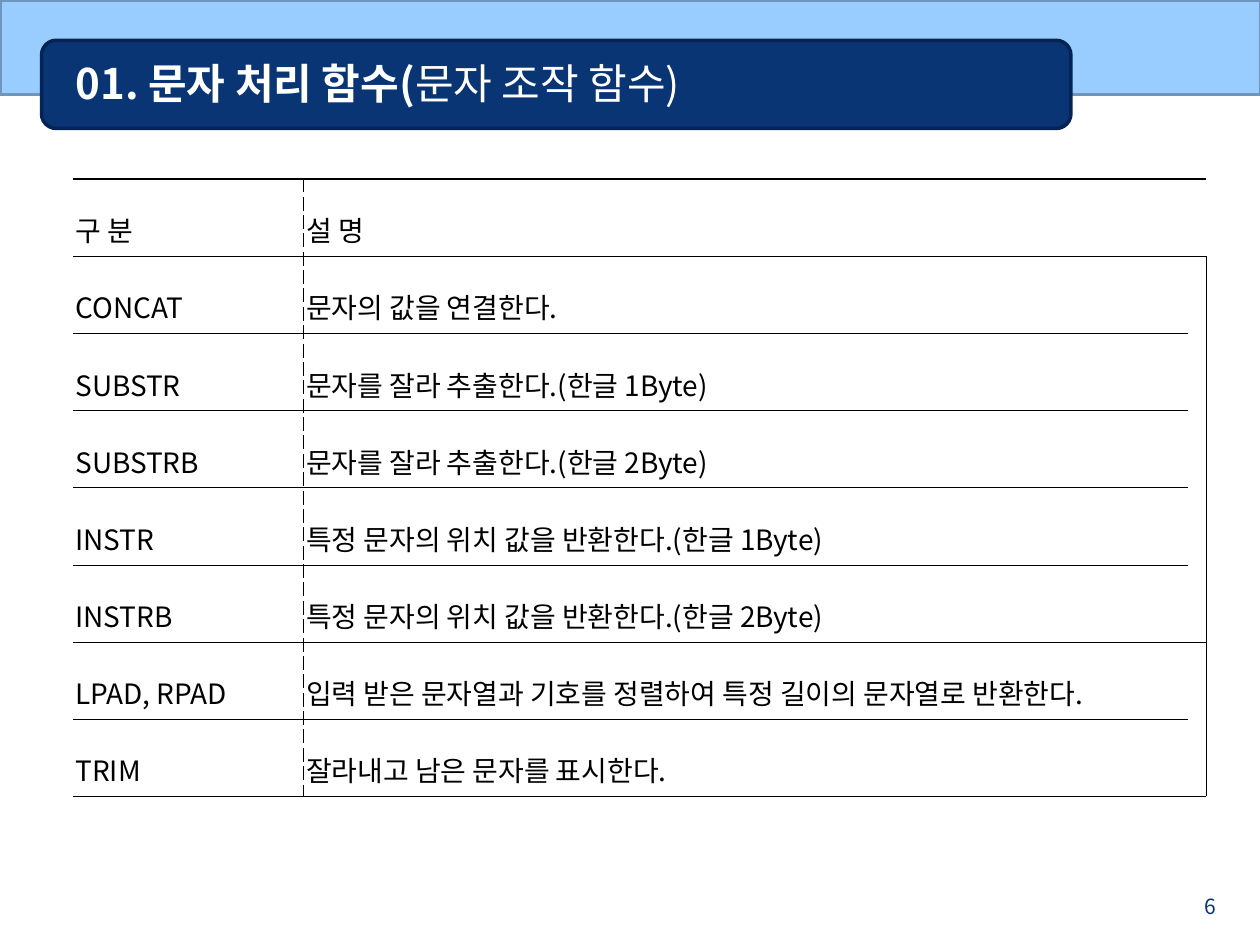
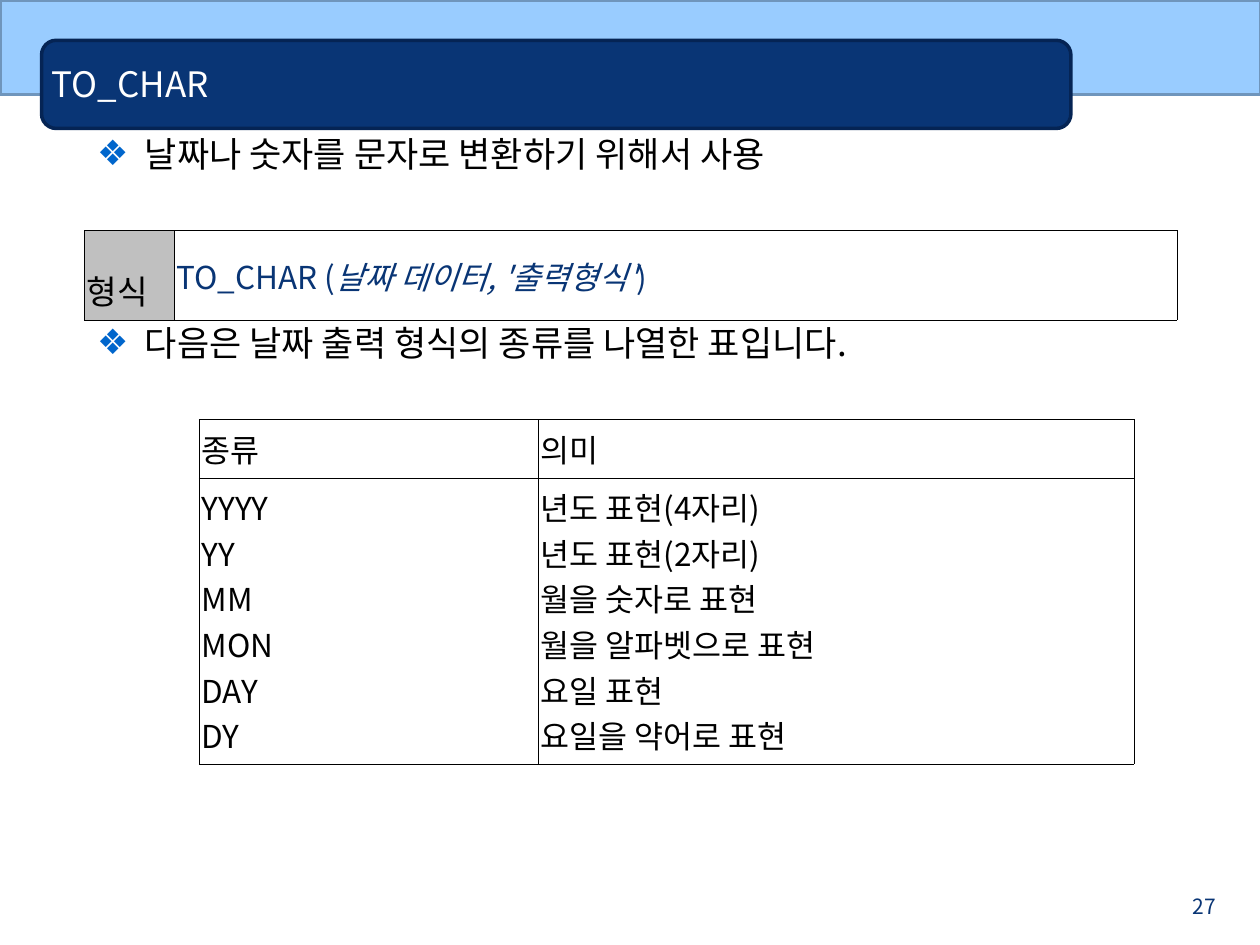
from dataclasses import dataclass
from typing import Callable, Optional

from lxml.etree import SubElement
from pptx import Presentation
from pptx.dml.color import RGBColor
from pptx.enum.shapes import MSO_SHAPE as Preset
from pptx.enum.text import MSO_ANCHOR as Anchor, MSO_AUTO_SIZE as AutoSize, PP_ALIGN as Align
from pptx.oxml import parse_xml
from pptx.oxml.ns import nsdecls, qn
from pptx.util import Inches, Pt

FONT = "Noto Sans CJK KR"
NO_STYLE = "{2D5ABB26-0587-4C30-8999-92F81FD0307C}"
COLORS = {
    "sky": "99CCFF", "sky_edge": "6F95BC", "navy": "093575", "navy_edge": "052454",
    "white": "FFFFFF", "black": "000000", "gray": "C0C0C0", "bullet": "0066CC",
}


@dataclass(frozen=True)
class Area:
    left: float
    top: float
    width: float
    height: float

    def lengths(self) -> tuple:
        return tuple(Inches(n) for n in (self.left, self.top, self.width, self.height))


@dataclass(frozen=True)
class Span:
    text: str
    size: float = 18
    color: str = "black"
    bold: bool = False
    italic: bool = False


@dataclass(frozen=True)
class Band:
    preset: Preset
    area: Area
    fill: str
    edge: str


@dataclass(frozen=True)
class Edge:
    side: str
    width: float = 0.11
    dash: str = "solid"


@dataclass(frozen=True)
class CellText:
    paras: list
    align: Align = Align.JUSTIFY
    spacing: Optional[float] = None
    fill: Optional[str] = None


BANDS = [
    Band(Preset.RECTANGLE, Area(0, 0, 10.01, 0.75), "sky", "sky_edge"),
    Band(Preset.ROUNDED_RECTANGLE, Area(0.33, 0.32, 8.17, 0.7), "navy", "navy_edge"),
]
PAGE_NUMBER = Area(9.25, 7.04, 0.5, 0.21)

FUNCTIONS = [
    ("구 분", "설 명"),
    ("CONCAT", "문자의 값을 연결한다."),
    ("SUBSTR", "문자를 잘라 추출한다.(한글 1Byte)"),
    ("SUBSTRB", "문자를 잘라 추출한다.(한글 2Byte)"),
    ("INSTR", "특정 문자의 위치 값을 반환한다.(한글 1Byte)"),
    ("INSTRB", "특정 문자의 위치 값을 반환한다.(한글 2Byte)"),
    ("LPAD, RPAD", "입력 받은 문자열과 기호를 정렬하여 특정 길이의 문자열로 반환한다."),
    ("TRIM", "잘라내고 남은 문자를 표시한다."),
]
MARGIN_GROUPS = [(1, 5), (6, 7)]
DATE_FORMATS = [
    ("YYYY", "년도 표현(4자리)"),
    ("YY", "년도 표현(2자리)"),
    ("MM", "월을 숫자로 표현"),
    ("MON", "월을 알파벳으로 표현"),
    ("DAY", "요일 표현"),
    ("DY", "요일을 약어로 표현"),
]


def rgb(name: str) -> RGBColor:
    return RGBColor.from_string(COLORS[name])


def add_spans(para, spans: list) -> None:
    for span in spans:
        run = para.add_run()
        run.text = span.text
        font = run.font
        font.size, font.bold, font.italic = Pt(span.size), span.bold, span.italic
        font.color.rgb = rgb(span.color)
        font.name = FONT
        props = run._r.get_or_add_rPr()
        props.set("kern", "0")
        SubElement(props, qn("a:ea"), typeface=FONT)


def add_bands_to_master(deck, page) -> None:
    """Draw the bands on a page, then move them behind everything on the master."""
    for index, band in enumerate(BANDS):
        shape = page.shapes.add_shape(band.preset, *band.area.lengths())
        shape.shadow.inherit = False
        shape.fill.solid()
        shape.fill.fore_color.rgb = rgb(band.fill)
        shape.line.color.rgb = rgb(band.edge)
        shape.line.width = Pt(2)
        deck.slide_master.shapes.element.insert(2 + index, shape.element)


def place(shape, area: Area) -> None:
    shape.left, shape.top, shape.width, shape.height = area.lengths()


def set_title(page, area: Area, spans: list) -> None:
    title = page.shapes.title
    place(title, area)
    frame = title.text_frame
    frame.auto_size = AutoSize.NONE
    frame.vertical_anchor = Anchor.MIDDLE
    frame.paragraphs[0].alignment = Align.LEFT
    add_spans(frame.paragraphs[0], spans)


def add_page_number(page, number: int) -> None:
    box = page.shapes.add_textbox(*PAGE_NUMBER.lengths())
    box.text_frame.word_wrap = True
    para = box.text_frame.paragraphs[0]
    para.alignment = Align.RIGHT
    add_spans(para, [Span(str(number), 12, "navy")])


def set_bullets(body, lines: list, gap: float) -> None:
    frame = body.text_frame
    frame.auto_size = AutoSize.NONE
    for index, line in enumerate(lines):
        para = frame.add_paragraph() if index else frame.paragraphs[0]
        para.space_before = Pt(gap if index else 0)
        props = para._p.get_or_add_pPr()
        props.set("marL", str(Inches(0.38)))
        props.set("indent", str(-Inches(0.38)))
        color = SubElement(props, qn("a:buClr"))
        SubElement(color, qn("a:srgbClr"), val=COLORS["bullet"])
        SubElement(props, qn("a:buChar"), char="❖")
        add_spans(para, [Span(line, 20)])


def set_borders(cell, edges: list) -> None:
    """Draw the given edges and switch the other sides off."""
    props = cell._tc.get_or_add_tcPr()
    drawn = {edge.side: edge for edge in edges}
    for index, side in enumerate("LRTB"):
        edge = drawn.get(side)
        if edge:
            width = Pt(edge.width)
            content = (f'<a:solidFill><a:srgbClr val="{COLORS["black"]}"/></a:solidFill>'
                       f'<a:prstDash val="{edge.dash}"/>')
        else:
            width, content = 0, "<a:noFill/>"
        props.insert(index, parse_xml(
            f'<a:ln{side} {nsdecls("a")} w="{width}">{content}</a:ln{side}>'))


def fill_cell(cell, content: CellText) -> None:
    cell.margin_left = cell.margin_right = Inches(0.02)
    cell.margin_top = cell.margin_bottom = Inches(0.05)
    cell.vertical_anchor = Anchor.MIDDLE
    if content.fill:
        cell.fill.solid()
        cell.fill.fore_color.rgb = rgb(content.fill)
    else:
        cell.fill.background()
    for index, spans in enumerate(content.paras):
        para = cell.text_frame.add_paragraph() if index else cell.text_frame.paragraphs[0]
        para.alignment = content.align
        if content.spacing:
            para.line_spacing = content.spacing
        add_spans(para, spans)


def box_edges(row: int, col: int) -> list:
    return [Edge(side) for side in "LRTB"]


def function_edges(row: int, col: int) -> list:
    """Dashed column divider, open left side, and a bracket down the right."""
    if col == 2:
        if row == 0:
            return [Edge("T", 0.96), Edge("B")]
        ends = [Edge("T") for first, _ in MARGIN_GROUPS if row == first]
        ends += [Edge("B") for group in MARGIN_GROUPS if row in group]
        return [Edge("R")] + ends
    divider = Edge("L" if col else "R", 0.28, "dash")
    return [divider, Edge("T", 0.11 if row else 0.96), Edge("B")]


def add_grid(page, left: float, top: float, widths: list, heights: list,
             rows: list, edges: Callable[[int, int], list] = box_edges):
    area = Area(left, top, sum(widths), sum(heights))
    frame = page.shapes.add_table(len(rows), len(widths), *area.lengths())
    frame.element.find(".//" + qn("a:tableStyleId")).text = NO_STYLE
    table = frame.table
    table.first_row = table.horz_banding = False
    for column, width in zip(table.columns, widths):
        column.width = Inches(width)
    for row, height in zip(table.rows, heights):
        row.height = Inches(height)
    for r, contents in enumerate(rows):
        for c, content in enumerate(contents):
            fill_cell(table.cell(r, c), content)
            set_borders(table.cell(r, c), edges(r, c))
    return table


def build_functions_page(page) -> None:
    set_title(page, Area(0.5, 0.35, 7.92, 0.62), [
        Span("01. 문자 처리 함수(", 24, "white", bold=True),
        Span("문자 조작 함수)", 24, "white"),
    ])
    rows = [
        [CellText([[Span(text, 16)]], spacing=1.6, fill="white") for text in texts]
        + [CellText([], fill="white")]
        for texts in FUNCTIONS
    ]
    table = add_grid(page, 0.58, 1.42, [1.83, 7.02, 0.14], [0.55] * len(rows),
                     rows, function_edges)
    table.cell(0, 1).merge(table.cell(0, 2))
    for first, last in MARGIN_GROUPS:
        table.cell(first, 2).merge(table.cell(last, 2))
    add_page_number(page, 6)


def build_to_char_page(page) -> None:
    set_title(page, Area(0.31, 0.35, 8.52, 0.62), [Span("TO_CHAR", 20, "white")])
    body = page.placeholders[1]
    place(body, Area(0.67, 1, 9.08, 6.14))
    set_bullets(body, ["날짜나 숫자를 문자로 변환하기 위해서 사용",
                       "다음은 날짜 출력 형식의 종류를 나열한 표입니다."], gap=84)
    syntax = [
        Span("TO_CHAR (", color="navy"),
        Span("날짜 데이터, '출력형식'", color="navy", italic=True),
        Span(")", color="navy"),
    ]
    add_grid(page, 0.67, 1.83, [0.71, 7.96], [0.55], [[
        CellText([[Span("형식", 19)]], spacing=1.6, fill="gray"),
        CellText([syntax], Align.LEFT),
    ]])
    headings = [CellText([[Span(text)]]) for text in ("종류", "의미")]
    formats = [CellText([[Span(text)] for text in column]) for column in zip(*DATE_FORMATS)]
    add_grid(page, 1.58, 3.33, [2.69, 4.73], [0.34, 1.84], [headings, formats])
    add_page_number(page, 27)


def main() -> None:
    deck = Presentation()
    deck.slide_width, deck.slide_height = Inches(10), Inches(7.5)
    title_only, title_and_content = deck.slide_layouts[5], deck.slide_layouts[1]
    functions_page = deck.slides.add_slide(title_only)
    add_bands_to_master(deck, functions_page)
    build_functions_page(functions_page)
    build_to_char_page(deck.slides.add_slide(title_and_content))
    deck.save("out.pptx")


if __name__ == "__main__":
    main()
